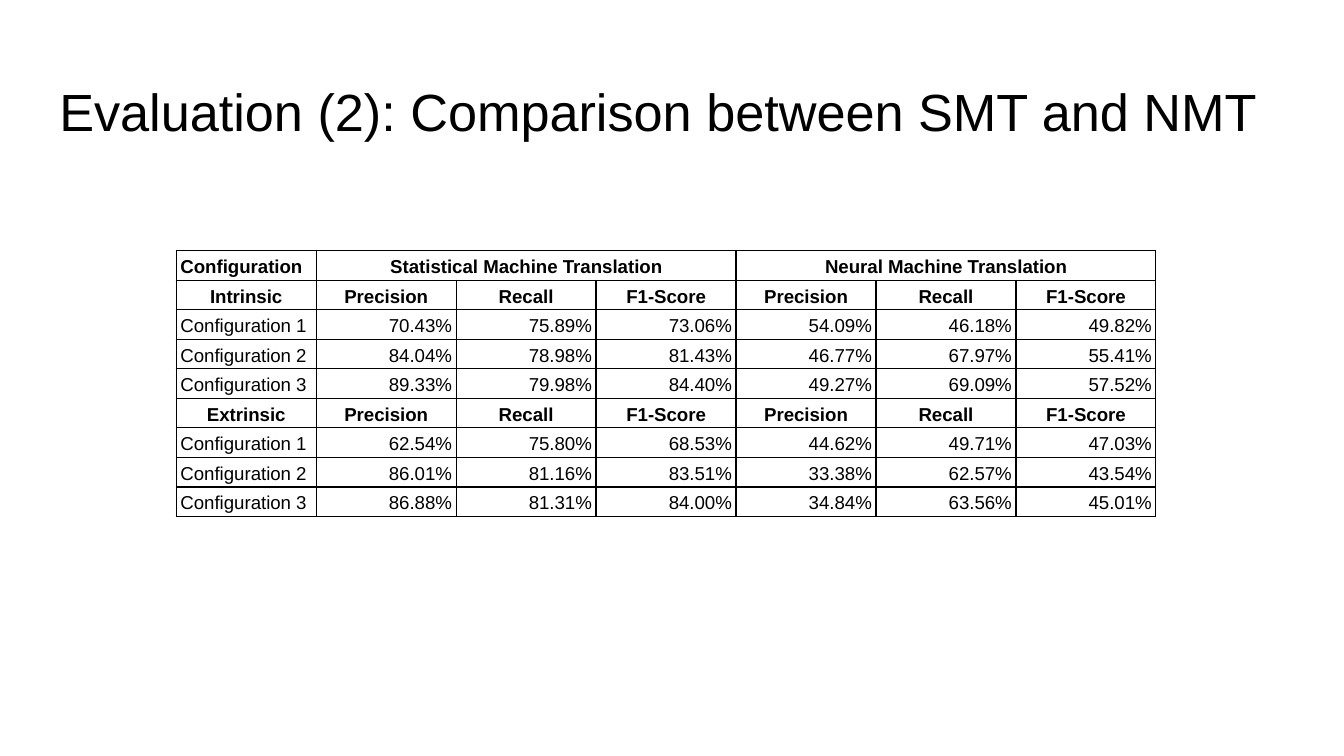
from lxml import etree
from pptx import Presentation
from pptx.dml.color import RGBColor
from pptx.enum.text import MSO_ANCHOR, MSO_AUTO_SIZE, PP_ALIGN
from pptx.oxml.ns import qn
from pptx.util import Cm, Pt

BLACK = RGBColor(0x00, 0x00, 0x00)
FONT = "Arial"
LEFT, CENTER, RIGHT = PP_ALIGN.LEFT, PP_ALIGN.CENTER, PP_ALIGN.RIGHT
TOP, BOTTOM = MSO_ANCHOR.TOP, MSO_ANCHOR.BOTTOM
NO_AUTOFIT = MSO_AUTO_SIZE.NONE
TITLE_ONLY = 5
BORDER_WIDTH = Pt(0.75)

SYSTEMS = ["Statistical Machine Translation", "Neural Machine Translation"]
METRICS = ["Precision", "Recall", "F1-Score"]
SCORES = {
    "Intrinsic": [
        [70.43, 75.89, 73.06, 54.09, 46.18, 49.82],
        [84.04, 78.98, 81.43, 46.77, 67.97, 55.41],
        [89.33, 79.98, 84.40, 49.27, 69.09, 57.52],
    ],
    "Extrinsic": [
        [62.54, 75.80, 68.53, 44.62, 49.71, 47.03],
        [86.01, 81.16, 83.51, 33.38, 62.57, 43.54],
        [86.88, 81.31, 84.00, 34.84, 63.56, 45.01],
    ],
}


def format_paragraph(paragraph, size, alignment, bold=False):
    paragraph.alignment = alignment
    for run in paragraph.runs:
        run.font.name = FONT
        run.font.size = Pt(size)
        run.font.bold = bold
        run.font.color.rgb = BLACK


def add_title(slide, left, top, width, height):
    title = slide.shapes.title
    title.left, title.top, title.width, title.height = left, top, width, height
    frame = title.text_frame
    frame.text = "Evaluation (2): Comparison between SMT and NMT"
    frame.word_wrap = True
    frame.auto_size = NO_AUTOFIT
    frame.vertical_anchor = TOP
    frame.margin_left = frame.margin_right = Cm(0.25)
    frame.margin_top = frame.margin_bottom = Cm(0.25)
    format_paragraph(frame.paragraphs[0], 28, LEFT)


def set_borders(cell):
    properties = cell._tc.get_or_add_tcPr()
    for position, side in enumerate(("lnL", "lnR", "lnT", "lnB")):
        line = etree.Element(qn(f"a:{side}"), w=str(BORDER_WIDTH))
        fill = etree.SubElement(line, qn("a:solidFill"))
        etree.SubElement(fill, qn("a:srgbClr"), val=str(BLACK))
        properties.insert(position, line)


def fill_cell(cell, text, alignment, bold):
    cell.text = text
    cell.fill.background()
    cell.vertical_anchor = BOTTOM
    cell.margin_left = cell.margin_right = Cm(0.08)
    cell.margin_top = cell.margin_bottom = Cm(0.05)
    paragraph = cell.text_frame.paragraphs[0]
    paragraph.line_spacing = 1.15
    format_paragraph(paragraph, 10, alignment, bold)
    set_borders(cell)


def table_rows():
    """Return each row as its texts, first alignment, other alignment and boldness."""
    header = ["Configuration"]
    for system in SYSTEMS:
        header += [system] + [""] * (len(METRICS) - 1)
    rows = [(header, LEFT, CENTER, True)]
    for evaluation, results in SCORES.items():
        rows.append(([evaluation] + METRICS * len(SYSTEMS), CENTER, CENTER, True))
        for number, scores in enumerate(results, start=1):
            texts = [f"Configuration {number}"] + [f"{score:.2f}%" for score in scores]
            rows.append((texts, LEFT, RIGHT, False))
    return rows


def add_score_table(slide, left, top, width, height):
    rows = table_rows()
    column_count = 1 + len(SYSTEMS) * len(METRICS)
    table = slide.shapes.add_table(
        len(rows), column_count, left, top, width, height
    ).table
    table.first_row = table.horz_banding = False
    for row_index, (texts, first_alignment, alignment, bold) in enumerate(rows):
        for column, text in enumerate(texts):
            cell_alignment = alignment if column else first_alignment
            fill_cell(table.cell(row_index, column), text, cell_alignment, bold)
    for start in range(1, column_count, len(METRICS)):
        table.cell(0, start).merge(table.cell(0, start + len(METRICS) - 1))


def main():
    presentation = Presentation()
    presentation.slide_width = Cm(25.4)
    presentation.slide_height = Cm(14.29)
    slide = presentation.slides.add_slide(presentation.slide_layouts[TITLE_ONLY])
    add_title(slide, Cm(0.87), Cm(1.24), Cm(23.67), Cm(1.6))
    add_score_table(slide, Cm(3.33), Cm(4.74), Cm(18.52), Cm(5.03))
    presentation.save("out.pptx")


if __name__ == "__main__":
    main()
